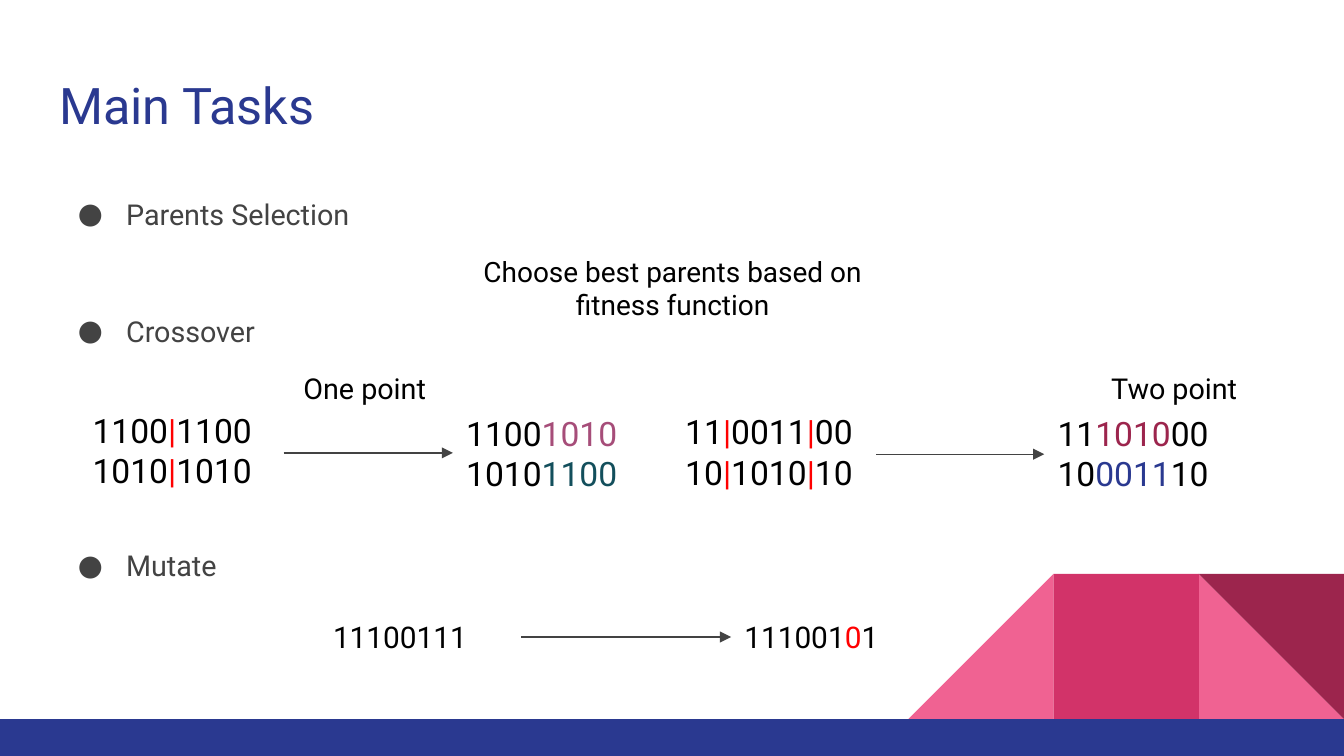
from pptx import Presentation
from pptx.dml.color import RGBColor
from pptx.enum.shapes import MSO_CONNECTOR, MSO_SHAPE
from pptx.enum.text import MSO_ANCHOR, MSO_AUTO_SIZE, PP_ALIGN
from pptx.oxml.ns import qn
from pptx.util import Inches, Pt
from lxml.etree import SubElement

FONT = "Roboto"
COLORS = {
    "blue": "2A3990", "pink": "F06292", "rose": "D23369", "wine": "9C254D",
    "grey": "434343", "black": "000000", "red": "FF0000",
    "mauve": "A64D79", "teal": "134F5C",
}


def rgb(name):
    return RGBColor.from_string(COLORS[name])


def add_run(paragraph, text, size, color):
    run = paragraph.add_run()
    run.text = text
    run.font.name = FONT
    run.font.size = Pt(size)
    run.font.color.rgb = rgb(color)


def prepare_frame(text_frame):
    text_frame.word_wrap = True
    text_frame.auto_size = MSO_AUTO_SIZE.NONE
    text_frame.vertical_anchor = MSO_ANCHOR.TOP
    text_frame.margin_left = text_frame.margin_right = Inches(0.1)
    text_frame.margin_top = text_frame.margin_bottom = Inches(0.1)


def place(shape, left, top, width, height):
    shape.left, shape.top = Inches(left), Inches(top)
    shape.width, shape.height = Inches(width), Inches(height)


def add_text(slide, box, lines, size, align=PP_ALIGN.LEFT):
    """Each line is a list of (text, color) pieces."""
    text_frame = slide.shapes.add_textbox(*map(Inches, box)).text_frame
    prepare_frame(text_frame)
    for index, pieces in enumerate(lines):
        paragraph = text_frame.add_paragraph() if index else text_frame.paragraphs[0]
        paragraph.alignment = align
        for text, color in pieces:
            add_run(paragraph, text, size, color)
    return text_frame


def add_block(slide, kind, box, color, rotation=0, flip=False):
    shape = slide.shapes.add_shape(kind, *map(Inches, box))
    shape.shadow.inherit = False
    shape.fill.solid()
    shape.fill.fore_color.rgb = rgb(color)
    shape.line.fill.background()
    shape.rotation = rotation
    if flip:
        shape.element.spPr.find(qn("a:xfrm")).set("flipH", "1")


def add_arrow(slide, start, end, y):
    arrow = slide.shapes.add_connector(
        MSO_CONNECTOR.STRAIGHT, Inches(start), Inches(y), Inches(end), Inches(y))
    arrow.line.color.rgb = rgb("grey")
    arrow.line.width = Pt(0.75)
    line = arrow.element.spPr.find(qn("a:ln"))
    SubElement(line, qn("a:tailEnd"), type="triangle")
    SubElement(arrow.element.spPr, qn("a:effectLst"))


def add_title(slide, text):
    title = slide.shapes.title
    place(title, 0.34, 0.45, 9.32, 0.66)
    prepare_frame(title.text_frame)
    paragraph = title.text_frame.paragraphs[0]
    paragraph.alignment = PP_ALIGN.LEFT
    add_run(paragraph, text, 27, "blue")


def add_bullets(slide, items):
    """Each item is (text, points of space before)."""
    lines = [[(text, "grey")] for text, _ in items]
    text_frame = add_text(slide, (0.34, 1.35, 9.32, 3.83), lines, 15.4)
    for paragraph, (_, space) in zip(text_frame.paragraphs, items):
        paragraph.line_spacing = 1.05
        paragraph.space_before = Pt(space)
        properties = paragraph._p.get_or_add_pPr()
        properties.set("marL", str(Inches(0.5)))
        properties.set("indent", str(Inches(-0.36)))
        SubElement(properties, qn("a:buFont"), typeface=FONT)
        SubElement(properties, qn("a:buChar"), char="●")


def add_decoration(slide):
    side, top = 1.08, 4.27
    left, middle, right = (6.76 + side * step for step in range(3))
    triangle = MSO_SHAPE.RIGHT_TRIANGLE
    add_block(slide, triangle, (right, top, side, side), "pink")
    add_block(slide, triangle, (left, top, side, side), "pink", flip=True)
    add_block(slide, MSO_SHAPE.RECTANGLE, (middle, top, side, side), "rose")
    add_block(slide, triangle, (right, top, side, side), "wine", rotation=180)
    add_block(slide, MSO_SHAPE.RECTANGLE, (0, 5.35, 10, 0.28), "blue")


def cut_line(parts):
    """Black bit groups with a red bar at every cut."""
    pieces = [(parts[0], "black")]
    for part in parts[1:]:
        pieces += [("|", "red"), (part, "black")]
    return pieces


def add_crossover(slide, label, label_left, parents, children, lefts, top, arrow):
    add_text(slide, (label_left, 2.66, 1.3, 0.47), [[(label, "black")]], 15.4)
    groups = [[cut_line(parent) for parent in parents], children]
    for left, box_top, lines in zip(lefts, (top, 2.97), groups):
        add_text(slide, (left, box_top, 1.62, 0.81), lines, 18)
    add_arrow(slide, *arrow)


def main():
    presentation = Presentation()
    # Widescreen, 16 to 9
    presentation.slide_width = Inches(10)
    presentation.slide_height = Inches(10) * 9 // 16
    slide = presentation.slides.add_slide(presentation.slide_layouts[5])

    add_decoration(slide)
    add_title(slide, "Main Tasks")
    add_bullets(slide, [("Parents Selection", 0), ("Crossover", 43.4), ("Mutate", 106.2)])

    # Parents selection
    add_text(slide, (3.35, 1.79, 3.31, 0.71),
             [[("Choose best parents based on fitness function", "black")]],
             15, PP_ALIGN.CENTER)

    # Crossover with one and two cuts
    add_crossover(
        slide, "One point", 2.16,
        [("1100", "1100"), ("1010", "1010")],
        [[("1100", "black"), ("1010", "mauve")], [("1010", "black"), ("1100", "teal")]],
        (0.59, 3.37), 2.95, (2.11, 3.37, 3.37))
    add_crossover(
        slide, "Two point", 8.17,
        [("11", "0011", "00"), ("10", "1010", "10")],
        [[("11", "black"), ("1010", "wine"), ("00", "black")],
         [("10", "black"), ("0011", "blue"), ("10", "black")]],
        (5, 7.77), 2.96, (6.52, 7.77, 3.38))

    # Mutation of one bit
    before = [("11100111", "black")]
    after = [("111001", "black"), ("0", "red"), ("1", "black")]
    for left, pieces in ((2.38, before), (5.44, after)):
        add_text(slide, (left, 4.5, 1.5, 0.47), [pieces], 16)
    add_arrow(slide, 3.88, 5.44, 4.74)

    presentation.save("out.pptx")


main()
